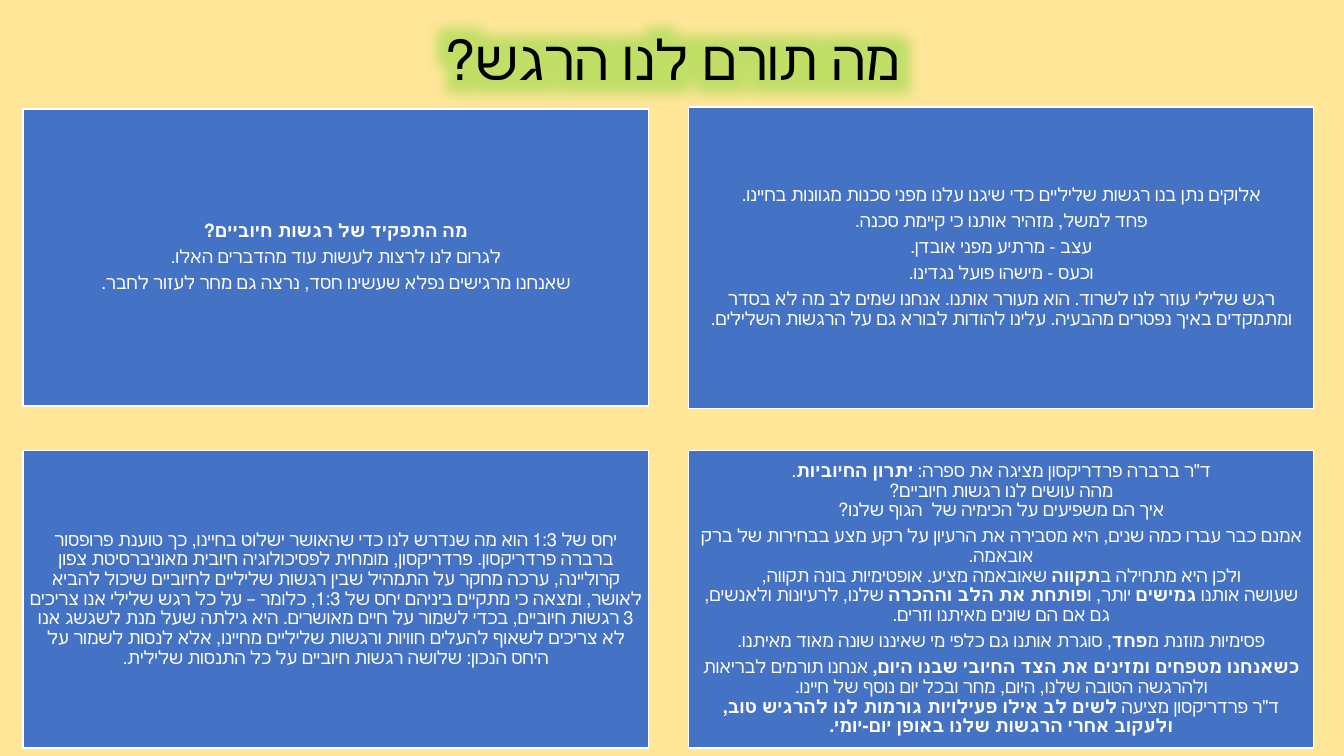
from dataclasses import dataclass

from lxml import etree
from pptx import Presentation, util as u
from pptx.dml.color import RGBColor
from pptx.enum import shapes, text
from pptx.oxml.ns import qn


@dataclass(frozen=True)
class Theme:
    font: str = "Calibri"
    background: str = "FFE699"
    card: str = "4472C4"
    light: str = "FFFFFF"
    dark: str = "000000"
    glow: str = "64D41E"
    title_size: float = 39.6
    body_size: float = 13
    line_spacing: float = 0.9
    paragraph_gap: float = 4.55


@dataclass(frozen=True)
class Grid:
    left: float = 0.23
    top: float = 1.08
    column_step: float = 6.6
    row_step: float = 3.39
    width: float = 6.2
    height: float = 2.95


@dataclass(frozen=True)
class Card:
    """Paragraphs in one grid cell; **marks** enclose bold words."""
    column: int
    row: int
    paragraphs: tuple[str, ...]
    overhang: float = 0


THEME = Theme()
GRID = Grid()
TITLE = "מה תורם לנו הרגש?"
CARDS = (
    Card(0, 0, (
        "**מה התפקיד של רגשות חיוביים?**",
        "לגרום לנו לרצות לעשות עוד מהדברים האלו.",
        "שאנחנו מרגישים נפלא שעשינו חסד, נרצה גם מחר לעזור לחבר.",
    )),
    Card(1, 0, (
        "אלוקים נתן בנו רגשות שליליים כדי שיגנו עלנו מפני סכנות מגוונות בחיינו.",
        "פחד למשל, מזהיר אותנו כי קיימת סכנה.",
        "עצב - מרתיע מפני אובדן.",
        "וכעס - מישהו פועל נגדינו.",
        "רגש שלילי עוזר לנו לשרוד. הוא מעורר אותנו. אנחנו שמים לב מה לא בסדר "
        "ומתמקדים באיך נפטרים מהבעיה. עלינו להודות לבורא גם על הרגשות השלילים.",
    ), overhang=0.02),
    Card(0, 1, (
        "יחס של 1:3 הוא מה שנדרש לנו כדי שהאושר ישלוט בחיינו, כך טוענת פרופסור "
        "ברברה פרדריקסון. פרדריקסון, מומחית לפסיכולוגיה חיובית מאוניברסיטת צפון "
        "קרוליינה, ערכה מחקר על התמהיל שבין רגשות שליליים לחיוביים שיכול להביא "
        "לאושר, ומצאה כי מתקיים ביניהם יחס של 1:3, כלומר – על כל רגש שלילי אנו צריכים "
        "3 רגשות חיוביים, בכדי לשמור על חיים מאושרים. היא גילתה שעל מנת לשגשג אנו "
        "לא צריכים לשאוף להעלים חוויות ורגשות שליליים מחיינו, אלא לנסות לשמור על "
        "היחס הנכון: שלושה רגשות חיוביים על כל התנסות שלילית.",
    )),
    Card(1, 1, (
        'ד"ר ברברה פרדריקסון מציגה את ספרה: **יתרון החיוביות**.\n'
        "מהה עושים לנו רגשות חיוביים?\n"
        "איך הם משפיעים על הכימיה של  הגוף שלנו?",
        "אמנם כבר עברו כמה שנים, היא מסבירה את הרעיון על רקע מצע בבחירות של ברק אובאמה.\n"
        "ולכן היא מתחילה ב**תקווה** שאובאמה מציע. אופטימיות בונה תקווה,\n"
        "שעושה אותנו **גמישים** יותר, ו**פותחת את הלב וההכרה** שלנו, לרעיונות ולאנשים, "
        "גם אם הם שונים מאיתנו וזרים.",
        "פסימיות מוזנת מ**פחד**, סוגרת אותנו גם כלפי מי שאיננו שונה מאוד מאיתנו.",
        "**כשאנחנו מטפחים ומזינים את הצד החיובי שבנו היום,** אנחנו תורמים לבריאות "
        "ולהרגשה הטובה שלנו, היום, מחר ובכל יום נוסף של חיינו.\n"
        'ד"ר פרדריקסון מציעה **לשים לב אילו פעילויות גורמות לנו להרגיש טוב, '
        "ולעקוב אחרי הרגשות שלנו באופן יום-יומי.**",
    )),
)


def format_paragraph(para) -> None:
    para.alignment = text.PP_ALIGN.CENTER
    para.line_spacing = THEME.line_spacing
    para._p.get_or_add_pPr().set("rtl", "1")


def format_span(span, size: float, color: str, bold: bool = False) -> None:
    span.font.name = THEME.font
    span.font.size = u.Pt(size)
    span.font.bold = bold
    span.font.color.rgb = RGBColor.from_string(color)
    span._r.get_or_add_rPr().set("lang", "he-IL")


def add_glow(span, radius: float, opacity: int) -> None:
    properties = span._r.get_or_add_rPr()
    effects = etree.Element(qn("a:effectLst"))
    glow = etree.SubElement(effects, qn("a:glow"), rad=str(u.Pt(radius)))
    color = etree.SubElement(glow, qn("a:srgbClr"), val=THEME.glow)
    etree.SubElement(color, qn("a:alpha"), val=str(opacity * 1000))
    properties.find(qn("a:solidFill")).addnext(effects)


def fill_paragraph(para, marked: str) -> None:
    format_paragraph(para)
    para.space_after = u.Pt(THEME.paragraph_gap)
    for index, part in enumerate(marked.split("**")):
        for number, line in enumerate(part.split("\n")):
            if number:
                para.add_line_break()
            if line:
                span = para.add_run()
                span.text = line
                format_span(span, THEME.body_size, THEME.light, index % 2 == 1)
    for line_break in para._p.findall(qn("a:br")):
        etree.SubElement(line_break, qn("a:rPr"), sz=str(THEME.body_size * 100))


def add_title(page) -> None:
    box = page.shapes.title
    box.left, box.top, box.width, box.height = map(u.Inches, (0.92, 0.4, 11.5, 0.44))
    frame = box.text_frame
    frame.text = TITLE
    frame.auto_size = text.MSO_AUTO_SIZE.NONE
    frame.vertical_anchor = text.MSO_ANCHOR.MIDDLE
    para = frame.paragraphs[0]
    format_paragraph(para)
    span = para.runs[0]
    format_span(span, THEME.title_size, THEME.dark)
    add_glow(span, radius=40, opacity=40)


def add_card(page, card: Card) -> None:
    box = page.shapes.add_shape(
        shapes.MSO_SHAPE.RECTANGLE,
        u.Inches(GRID.left + card.column * GRID.column_step),
        u.Inches(GRID.top + card.row * GRID.row_step - card.overhang),
        u.Inches(GRID.width),
        u.Inches(GRID.height + 2 * card.overhang),
    )
    box.shadow.inherit = False
    box.fill.solid()
    box.fill.fore_color.rgb = RGBColor.from_string(THEME.card)
    box.line.color.rgb = RGBColor.from_string(THEME.light)
    box.line.width = u.Pt(1)
    frame = box.text_frame
    frame.word_wrap = True
    frame.vertical_anchor = text.MSO_ANCHOR.MIDDLE
    frame.margin_left = frame.margin_right = u.Inches(0.05)
    frame.margin_top = frame.margin_bottom = u.Inches(0.05)
    for index, marked in enumerate(card.paragraphs):
        para = frame.add_paragraph() if index else frame.paragraphs[0]
        fill_paragraph(para, marked)


def main() -> None:
    deck = Presentation()
    deck.slide_width, deck.slide_height = u.Inches(13.33), u.Inches(7.5)
    page = deck.slides.add_slide(deck.slide_layouts.get_by_name("Title Only"))
    page.background.fill.solid()
    page.background.fill.fore_color.rgb = RGBColor.from_string(THEME.background)
    add_title(page)
    for card in CARDS:
        add_card(page, card)
    deck.save("out.pptx")


if __name__ == "__main__":
    main()
